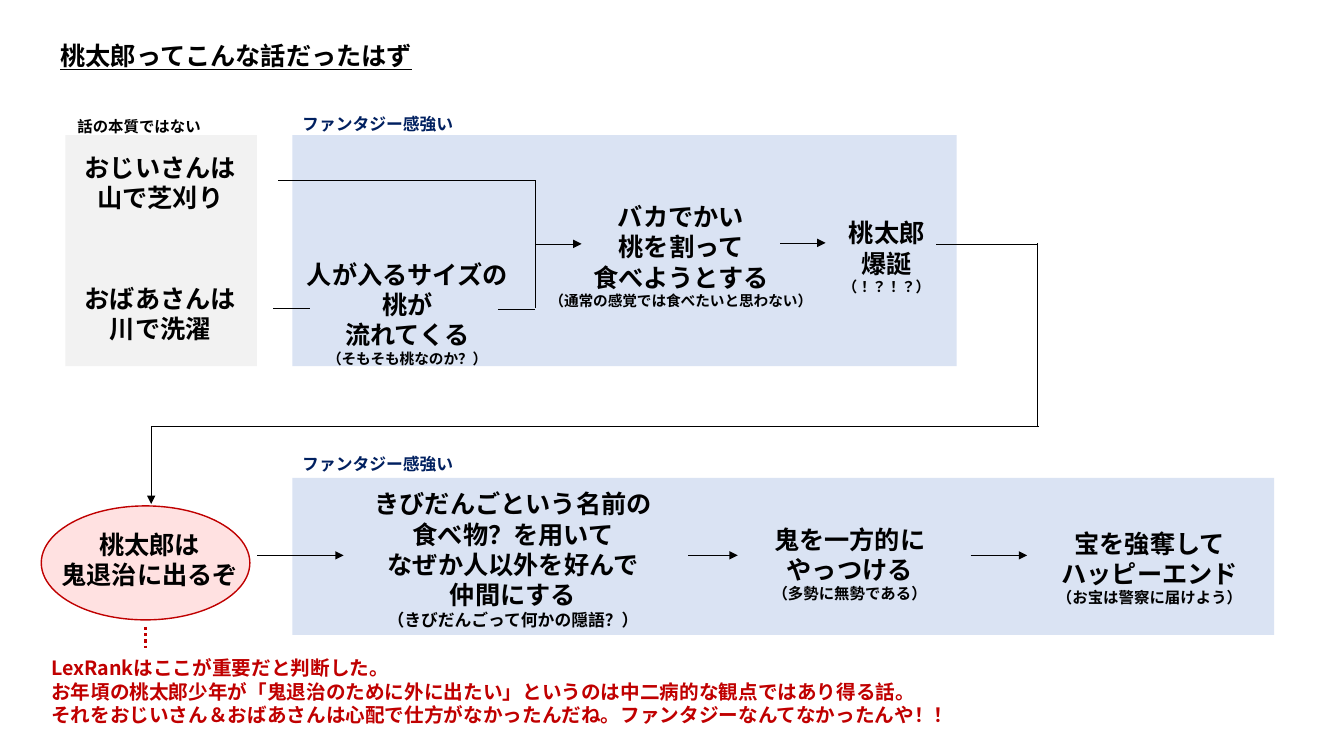
from lxml import etree
from pptx import Presentation
from pptx.dml.color import RGBColor
from pptx.enum import dml, shapes, text
from pptx.oxml import ns
from pptx.util import Pt

FONT = "Noto Sans CJK JP"
COLOURS = {"black": "000000", "navy": "002060", "red": "C00000",
           "pink": "FFE1E1", "grey": "F2F2F2", "blue": "DAE3F3"}
LEFT, CENTRE = text.PP_ALIGN.LEFT, text.PP_ALIGN.CENTER


def write(box, lines, sizes, colour, align):
    """Fill a text shape with one bold paragraph per line."""
    frame = box.text_frame
    frame.text = "\n".join(lines)
    frame.word_wrap = False
    frame.auto_size = text.MSO_AUTO_SIZE.NONE
    frame.vertical_anchor = text.MSO_ANCHOR.TOP
    for paragraph, size in zip(frame.paragraphs, sizes):
        paragraph.alignment = align
        paragraph.line_spacing = Pt(size * 1.2)
        font = paragraph.runs[0].font
        font.size, font.bold, font.name = Pt(size), True, FONT
        font.color.rgb = RGBColor.from_string(COLOURS[colour])
        east_asian = etree.SubElement(paragraph.runs[0]._r.rPr, ns.qn("a:ea"))
        east_asian.set("typeface", FONT)


def connect(x1, y1, x2, y2, arrow=False, colour="black", width=0.5):
    """Draw a straight line without shadow, with an arrowhead if asked."""
    line = slide.shapes.add_connector(
        shapes.MSO_CONNECTOR.STRAIGHT, Pt(x1), Pt(y1), Pt(x2), Pt(y2))
    line.line.color.rgb = RGBColor.from_string(COLOURS[colour])
    line.line.width = Pt(width)
    if arrow:
        etree.SubElement(line.line._get_or_add_ln(), ns.qn("a:tailEnd")).set("type", "triangle")
    etree.SubElement(line._element.spPr, ns.qn("a:effectLst"))
    return line


deck = Presentation()
deck.slide_width, deck.slide_height = Pt(960), Pt(540)
slide = deck.slides.add_slide(deck.slide_layouts[5])

# Title
title = slide.shapes.title
title.left, title.top, title.width, title.height = Pt(36), Pt(25.2), Pt(269.3), Pt(28.8)
write(title, ["桃太郎ってこんな話だったはず"], [18], "black", LEFT)
title.text_frame.paragraphs[0].runs[0].font.underline = True

# Background panels and the highlighted event
OVAL, RECT = shapes.MSO_SHAPE.OVAL, shapes.MSO_SHAPE.RECTANGLE
for kind, left, top, width, height, fill in [
    (OVAL, 29.5, 361.4, 149, 81.4, "pink"),
    (RECT, 46.8, 96.5, 136.8, 165, "grey"),
    (RECT, 208.8, 341.3, 701.3, 112.3, "blue"),
    (RECT, 208.8, 96.5, 474.5, 165, "blue"),
]:
    panel = slide.shapes.add_shape(kind, Pt(left), Pt(top), Pt(width), Pt(height))
    panel.shadow.inherit = False
    panel.fill.solid()
    panel.fill.fore_color.rgb = RGBColor.from_string(COLOURS[fill])
    if kind == OVAL:
        panel.line.color.rgb = RGBColor.from_string(COLOURS["red"])
        panel.line.width = Pt(1)
    else:
        panel.line.fill.background()

# Story events: left, top, width, lines, size of the aside in the last line
events = [
    (52.6, 105.1, 123.8, ["おじいさんは", "山で芝刈り"], 18),
    (52.6, 198.7, 123.8, ["おばあさんは", "川で洗濯"], 18),
    (211, 181.4, 159.8, ["人が入るサイズの", "桃が", "流れてくる", "(そもそも桃なのか?)"], 10.5),
    (383.8, 140.4, 205.2, ["バカでかい", "桃を割って", "食べようとする",
                           "(通常の感覚では食べたいと思わない)"], 10.5),
    (592.6, 151.9, 81.4, ["桃太郎", "爆誕", "(!?!?)"], 10.5),
    (36, 374.4, 141.8, ["桃太郎は", "鬼退治に出るぞ"], 18),
    (259.2, 345.6, 214.6, ["きびだんごという名前の", "食べ物?を用いて", "なぜか人以外を好んで",
                           "仲間にする", "(きびだんごって何かの隠語?)"], 12),
    (544.3, 370.8, 125.3, ["鬼を一方的に", "やっつける", "(多勢に無勢である)"], 11),
    (747.4, 373.7, 147.6, ["宝を強奪して", "ハッピーエンド", "(お宝は警察に届けよう)"], 11),
]
full_width = str.maketrans("()?!", "\uff08\uff09\uff1f\uff01")
for left, top, width, lines, aside in events:
    sizes = [18] * (len(lines) - 1) + [aside]
    box = slide.shapes.add_textbox(Pt(left), Pt(top), Pt(width), Pt(7.2 + 1.2 * sum(sizes)))
    write(box, [line.translate(full_width) for line in lines], sizes, "black", CENTRE)

# Panel labels and the conclusion
conclusion = ["LexRankはここが重要だと判断した。",
              "お年頃の桃太郎少年が「鬼退治のために外に出たい」というのは中二病的な観点ではあり得る話。",
              "それをおじいさん&おばあさんは心配で仕方がなかったんだね。ファンタジーなんてなかったんや!!"]
full_width[ord("&")] = "\uff06"
for left, top, width, lines, size, colour in [
    (48.2, 79.9, 103.7, ["話の本質ではない"], 11, "black"),
    (208.8, 77.8, 123.8, ["ファンタジー感強い"], 12, "navy"),
    (208.8, 320.4, 123.8, ["ファンタジー感強い"], 12, "navy"),
    (29.5, 465.1, 664.6, conclusion, 14, "red"),
]:
    sizes = [size] * len(lines)
    box = slide.shapes.add_textbox(Pt(left), Pt(top), Pt(width), Pt(7.2 + 1.2 * sum(sizes)))
    write(box, [line.translate(full_width) for line in lines], sizes, colour, LEFT)

# Paths that merge into the peach, then lead down to the second row
for ends in [
    (198.7, 128.9, 382.3, 128.9),
    (195.1, 220.3, 221.8, 220.3),
    (355.7, 221, 382.3, 221),
    (382.3, 128.9, 382.3, 220.3),
    (668.9, 174.2, 740.9, 174.2),
    (740.9, 304.6, 740.9, 173.5),
    (108.7, 304.6, 742.3, 304.6),
]:
    connect(*ends)

# Arrows between events
for ends in [
    (382.3, 174.2, 415.4, 174.2),
    (557.3, 173.5, 589.7, 173.5),
    (108, 304.6, 108, 360),
    (183.6, 396.7, 245.5, 396.7),
    (491.8, 396.7, 527, 396.7),
    (693.4, 396.7, 733.7, 396.7),
]:
    connect(*ends, arrow=True)

# Dotted link from the highlighted event to the conclusion
link = connect(103.7, 447.8, 103.7, 463, colour="red", width=2.25)
link.line.dash_style = dml.MSO_LINE.ROUND_DOT

deck.save("out.pptx")
